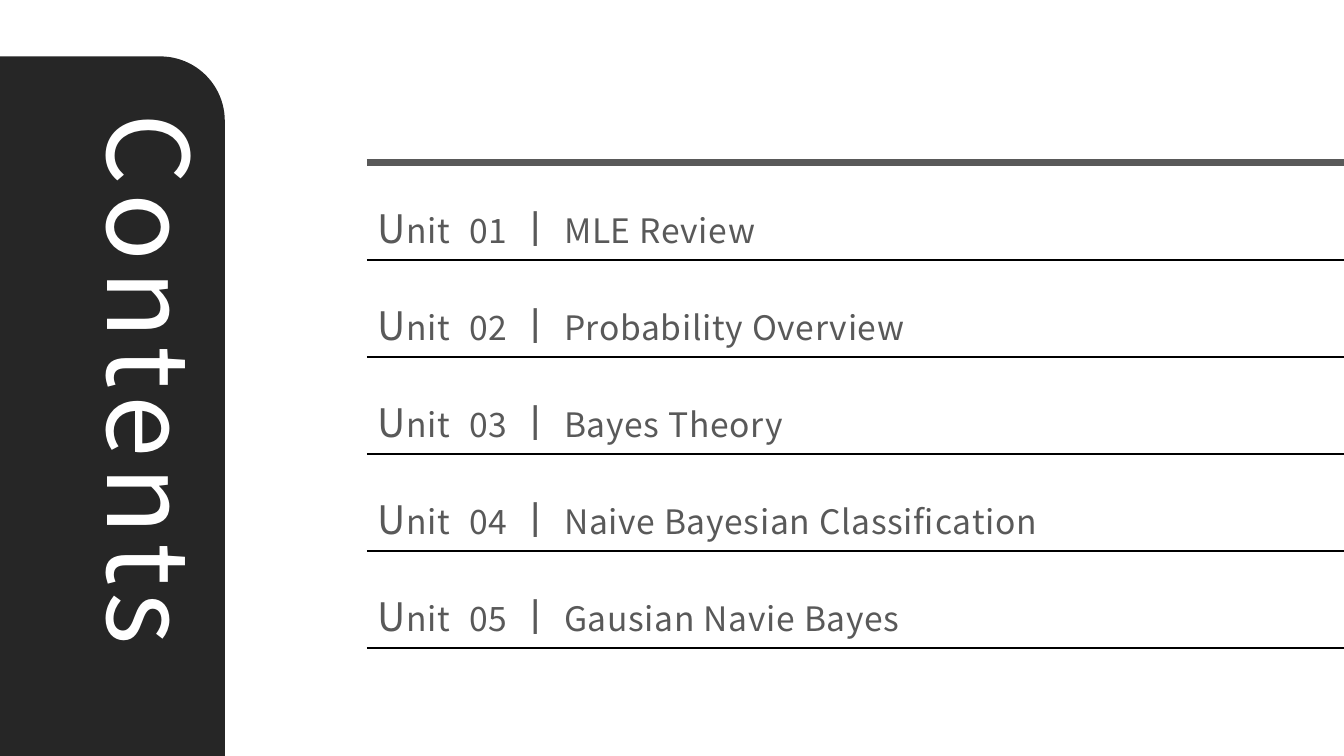
"""Build a contents slide with a vertical title panel and a ruled list of units."""
import pptx
import pptx.dml.color
import pptx.enum.shapes
import pptx.enum.text
import pptx.oxml
import pptx.oxml.ns
import pptx.util

HEADING = "Contents"
UNITS = [
    "MLE Review",
    "Probability Overview",
    "Bayes Theory",
    "Naive Bayesian Classification",
    "Gausian Navie Bayes",
]

FONT = "Noto Sans CJK KR"
PANEL_DARK = pptx.dml.color.RGBColor(0x26, 0x26, 0x26)
GREY = pptx.dml.color.RGBColor(0x59, 0x59, 0x59)
BLACK = pptx.dml.color.RGBColor(0, 0, 0)
WHITE = pptx.dml.color.RGBColor(255, 255, 255)

SLIDE_W, SLIDE_H = 13.33, 7.5
PANEL_W, PANEL_TOP, PANEL_CORNER = 2.23, 0.56, 0.64
LIST_LEFT, LIST_W, LIST_BOTTOM = 3.64, 9.43, 6.39
TOP_RULE, FIRST_RULE, LAST_RULE = 1.61, 2.58, 6.43
ROW_H = (LAST_RULE - FIRST_RULE) / (len(UNITS) - 1)
LIST_H = len(UNITS) * ROW_H + 0.1

HEADING_FORMAT = {"size": pptx.util.Pt(80), "name": FONT, "bold": False}
LARGE_FORMAT = {"size": pptx.util.Pt(28), "name": FONT}
SMALL_FORMAT = {"size": pptx.util.Pt(24), "name": FONT}
HEADING_FRAME = {
    "word_wrap": True,
    "vertical_anchor": pptx.enum.text.MSO_ANCHOR.TOP,
    "auto_size": pptx.enum.text.MSO_AUTO_SIZE.SHAPE_TO_FIT_TEXT,
}
LIST_FRAME = {
    "word_wrap": True,
    "vertical_anchor": pptx.enum.text.MSO_ANCHOR.BOTTOM,
    "auto_size": pptx.enum.text.MSO_AUTO_SIZE.NONE,
}


def apply(target, values):
    for key, value in values.items():
        setattr(target, key, value)


def place(shape, left, top, width, height):
    box = {"left": left, "top": top, "width": width, "height": height}
    apply(shape, {key: pptx.util.Inches(value) for key, value in box.items()})


def add_run(paragraph, text, values, color, spacing):
    run = paragraph.add_run()
    run.text = text
    apply(run.font, values)
    run.font.color.rgb = color
    properties = run.font._element
    properties.set("spc", str(round(spacing * 100)))
    east_asian = pptx.oxml.parse_xml(
        f'<a:ea {pptx.oxml.ns.nsdecls("a")} typeface="{FONT}"/>')
    properties.find(pptx.oxml.ns.qn("a:latin")).addnext(east_asian)


def add_panel(slide):
    panel = slide.shapes.add_shape(
        pptx.enum.shapes.MSO_SHAPE.ROUND_1_RECTANGLE, 0, 0, 0, 0)
    place(panel, 0, PANEL_TOP, PANEL_W, SLIDE_H - PANEL_TOP)
    panel.adjustments[0] = PANEL_CORNER / PANEL_W
    panel.shadow.inherit = False
    panel.fill.solid()
    panel.fill.fore_color.rgb = PANEL_DARK
    panel.line.fill.background()
    slide.shapes._spTree.insert(2, panel._element)


def add_heading(slide):
    heading = slide.shapes.title
    place(heading, -1.98, 3.79, 6.97, 1.45)
    heading.rotation = 90
    apply(heading.text_frame, HEADING_FRAME)
    paragraph = heading.text_frame.paragraphs[0]
    paragraph.alignment = pptx.enum.text.PP_ALIGN.LEFT
    add_run(paragraph, HEADING, HEADING_FORMAT, WHITE, 6)


def add_units(slide):
    units = slide.placeholders[1]
    place(units, LIST_LEFT, LIST_BOTTOM - LIST_H, LIST_W, LIST_H)
    frame = units.text_frame
    apply(frame, LIST_FRAME)
    for number, topic in enumerate(UNITS, 1):
        paragraph = frame.paragraphs[0] if number == 1 else frame.add_paragraph()
        apply(paragraph, {
            "line_spacing": pptx.util.Pt(round(ROW_H * 72, 1)),
            "space_before": pptx.util.Pt(0),
            "alignment": pptx.enum.text.PP_ALIGN.LEFT,
        })
        properties = paragraph._p.get_or_add_pPr()
        properties.set("marL", "0")
        properties.set("indent", "0")
        properties.append(pptx.oxml.parse_xml(
            f'<a:buNone {pptx.oxml.ns.nsdecls("a")}/>'))
        for text, values, spacing in (
            ("U", LARGE_FORMAT, 0.5),
            ("nit", SMALL_FORMAT, 0.5),
            (" ", LARGE_FORMAT, 7.3),
            (f"{number:02d}", SMALL_FORMAT, 0.5),
            (" ㅣ ", LARGE_FORMAT, 0.5),
            (topic, SMALL_FORMAT, 0.5),
        ):
            add_run(paragraph, text, values, GREY, spacing)


def add_rule(slide, y, color, weight):
    rule = slide.shapes.add_connector(
        pptx.enum.shapes.MSO_CONNECTOR.STRAIGHT,
        pptx.util.Inches(LIST_LEFT), pptx.util.Inches(y),
        pptx.util.Inches(SLIDE_W), pptx.util.Inches(y))
    rule.line.color.rgb = color
    rule.line.width = pptx.util.Pt(weight)
    rule._element.spPr.append(pptx.oxml.parse_xml(
        f'<a:effectLst {pptx.oxml.ns.nsdecls("a")}/>'))


def main():
    deck = pptx.Presentation()
    deck.slide_width = pptx.util.Inches(SLIDE_W)
    deck.slide_height = pptx.util.Inches(SLIDE_H)
    slide = deck.slides.add_slide(deck.slide_layouts[1])
    add_panel(slide)
    add_heading(slide)
    add_units(slide)
    add_rule(slide, TOP_RULE, GREY, 5)
    for row in range(len(UNITS)):
        add_rule(slide, FIRST_RULE + row * ROW_H, BLACK, 1)
    deck.save("out.pptx")


if __name__ == "__main__":
    main()
